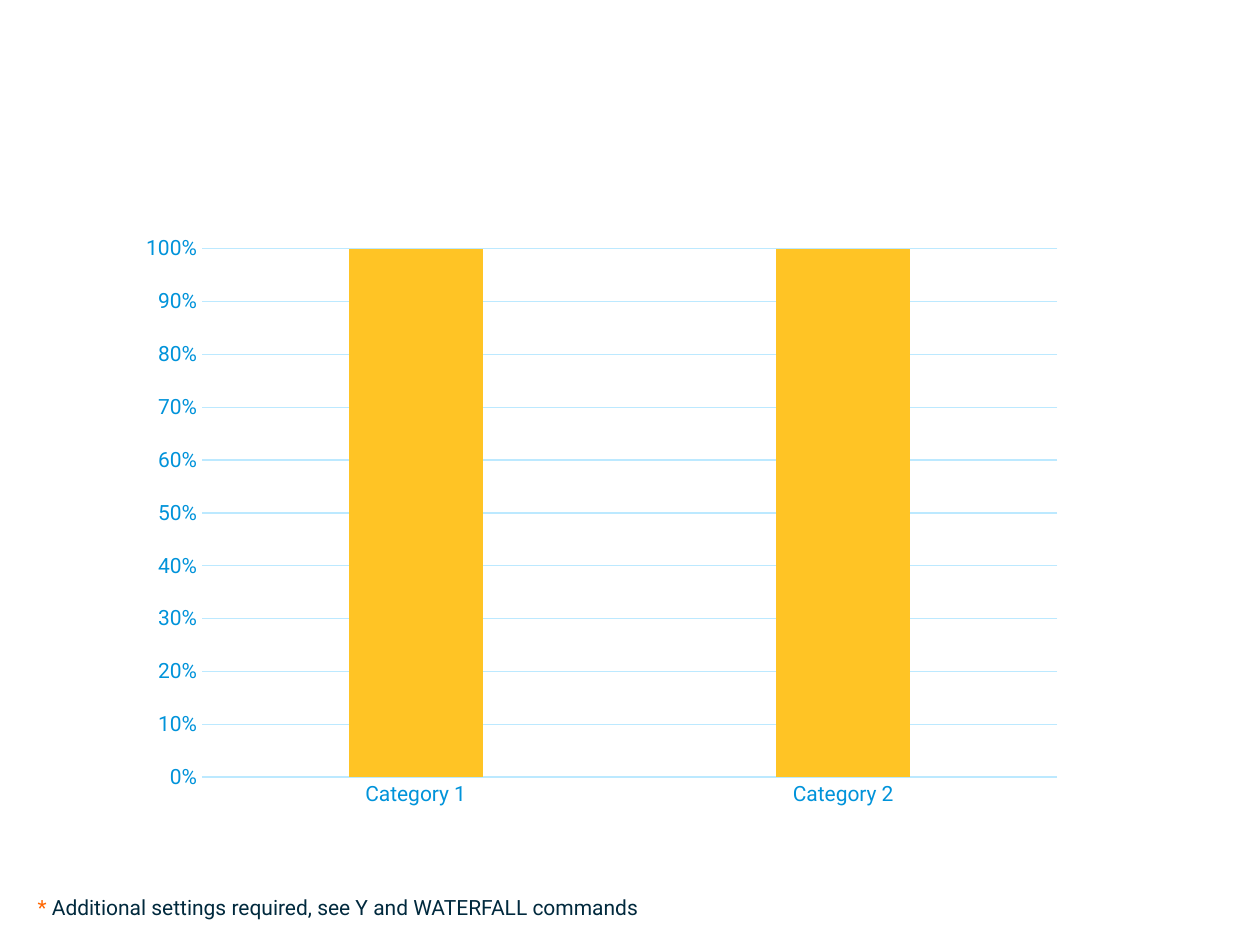
from dataclasses import dataclass

from pptx import Presentation
from pptx import util as u
from pptx.chart.data import CategoryChartData
from pptx.dml.color import RGBColor
from pptx.enum import chart as charts
from pptx.enum import text


@dataclass(frozen=True)
class Theme:
    font: str = "Roboto"
    ink: str = "00293D"
    axis: str = "0093DA"
    grid: str = "BCE9FF"
    bar: str = "FFC425"
    marker: str = "FF6600"
    chart_size: int = 10
    text_size: int = 12
    line_width: float = 0.75


@dataclass(frozen=True)
class Span:
    text: str
    color: str


THEME = Theme()
FOOTNOTE = (
    Span("*", THEME.marker),
    Span(" Additional settings required, see Y and WATERFALL commands", THEME.ink),
)


def style_font(font, size: int, color: str) -> None:
    font.name = THEME.font
    font.size = u.Pt(size)
    font.bold = False
    font.color.rgb = RGBColor.from_string(color)


def style_line(line) -> None:
    line.color.rgb = RGBColor.from_string(THEME.grid)
    line.width = u.Pt(THEME.line_width)


def style_axis(axis) -> None:
    axis.major_tick_mark = charts.XL_TICK_MARK.NONE
    axis.minor_tick_mark = charts.XL_TICK_MARK.NONE
    style_font(axis.tick_labels.font, THEME.text_size, THEME.axis)


def add_column_chart(page) -> None:
    data = CategoryChartData()
    data.categories = ["Category 1", "Category 2"]
    data.add_series("Series 1", (100, 100))
    chart = page.shapes.add_chart(
        charts.XL_CHART_TYPE.COLUMN_STACKED_100,
        u.Inches(1.01), u.Inches(1.78), u.Inches(7.53), u.Inches(4.72), data,
    ).chart
    chart.has_title = False
    chart.has_legend = False
    style_font(chart.font, THEME.chart_size, THEME.ink)

    plot = chart.plots[0]
    plot.vary_by_categories = False
    plot.gap_width = 219
    plot.overlap = 100
    fill = plot.series[0].format.fill
    fill.solid()
    fill.fore_color.rgb = RGBColor.from_string(THEME.bar)

    style_axis(chart.category_axis)
    style_line(chart.category_axis.format.line)

    values = chart.value_axis
    style_axis(values)
    values.format.line.fill.background()
    values.has_major_gridlines = True
    style_line(values.major_gridlines.format.line)
    values.tick_labels.number_format = "0%"
    values.tick_labels.number_format_is_linked = False


def add_footnote(page) -> None:
    box = page.shapes.add_textbox(u.Inches(0.2), u.Inches(7.05), u.Inches(5.35), u.Inches(0.3))
    frame = box.text_frame
    frame.word_wrap = True
    frame.auto_size = text.MSO_AUTO_SIZE.SHAPE_TO_FIT_TEXT
    para = frame.paragraphs[0]
    for span in FOOTNOTE:
        run = para.add_run()
        run.text = span.text
        style_font(run.font, THEME.text_size, span.color)


def main() -> None:
    deck = Presentation()
    deck.slide_width, deck.slide_height = u.Inches(10), u.Inches(7.5)
    page = deck.slides.add_slide(deck.slide_layouts[6])
    add_footnote(page)
    add_column_chart(page)
    deck.save("out.pptx")


if __name__ == "__main__":
    main()
